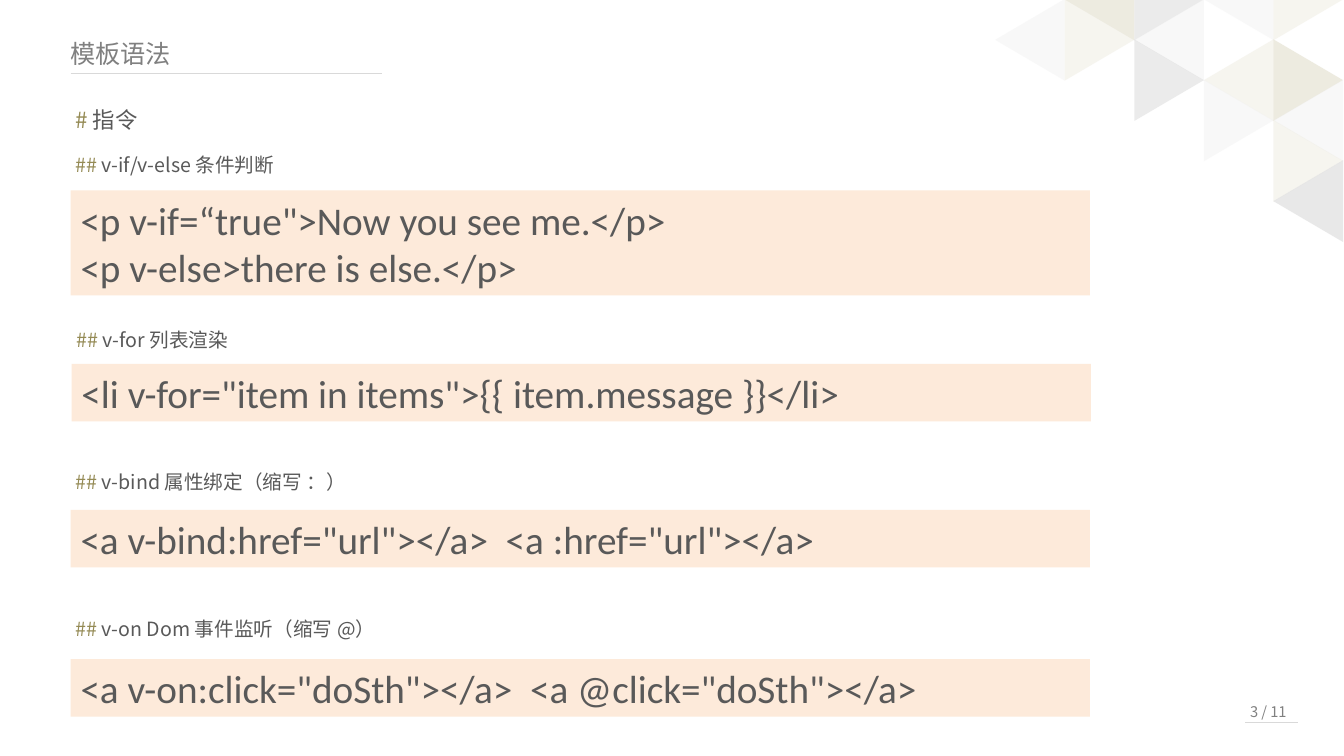
from dataclasses import dataclass
from lxml.etree import SubElement
from pptx import Presentation
from pptx.dml.color import RGBColor
from pptx.enum.shapes import MSO_CONNECTOR as Connector, MSO_SHAPE as Shape
from pptx.enum.text import MSO_ANCHOR as Anchor, MSO_AUTO_SIZE as AutoSize, PP_ALIGN as Align
from pptx.oxml.ns import qn
from pptx.util import Inches, Pt


@dataclass(frozen=True)
class Theme:
    sans: str = "Noto Sans CJK SC"
    code: str = "Calibri"
    muted: str = "808080"
    body: str = "595959"
    mark: str = "948A54"
    rule: str = "D9D9D9"
    panel: str = "FDEADA"
    white: str = "FFFFFF"
    pale: str = "F2F2F2"
    grey: str = "D9D9D9"
    cream: str = "EEECE1"
    sand: str = "DDD9C3"
    title_size: float = 18
    topic_size: float = 16
    label_size: float = 14
    code_size: float = 28
    page_size: float = 10.5


THEME = Theme()

LEFT, RIGHT = 270, 90
MOSAIC = [
    (1, 0, LEFT, THEME.sand), (2, 0, RIGHT, THEME.grey),
    (3, 0, LEFT, THEME.pale), (4, 0, RIGHT, THEME.cream),
    (1, 1, RIGHT, THEME.cream), (2, 1, LEFT, THEME.pale),
    (3, 1, RIGHT, THEME.white), (2, 2, RIGHT, THEME.grey),
    (3, 2, LEFT, THEME.cream), (4, 2, RIGHT, THEME.sand),
    (3, 3, RIGHT, THEME.pale), (4, 3, LEFT, THEME.pale),
    (0, 1, LEFT, THEME.pale), (4, 4, RIGHT, THEME.cream),
    (4, 5, LEFT, THEME.pale), (4, 5, LEFT, THEME.grey),
]

DIRECTIVES = [
    ((0.65, 1.47, 2.51), 0.42, 1.04, " v-if/v-else 条件判断",
     ["<p v-if=“true\">Now you see me.</p>", "<p v-else>there is else.</p>"]),
    ((0.66, 3.2, 2.51), 0.41, 0.57, " v-for 列表渲染",
     ["<li v-for=\"item in items\">{{ item.message }}</li>"]),
    ((0.65, 4.61, 6.18), 0.45, 0.57, " v-bind 属性绑定（缩写 ：）",
     ["<a v-bind:href=\"url\"></a>  <a :href=\"url\"></a>"]),
    ((0.65, 6.07, 6.32), 0.47, 0.57, " v-on Dom 事件监听（缩写 @）",
     ["<a v-on:click=\"doSth\"></a>  <a @click=\"doSth\"></a>"]),
]


def inches(box):
    return [Inches(length) for length in box]


def write(frame, paragraphs, size, font):
    frame.word_wrap = True
    frame.auto_size = AutoSize.SHAPE_TO_FIT_TEXT
    for index, pieces in enumerate(paragraphs):
        line = frame.add_paragraph() if index else frame.paragraphs[0]
        line.alignment = Align.LEFT
        for words, color in pieces:
            run = line.add_run()
            run.text = words
            run.font.size = Pt(size)
            run.font.name = font
            run.font.color.rgb = RGBColor.from_string(color)
            SubElement(run.font._element, qn("a:ea"), typeface=font)


def add_text(slide, box, pieces, size):
    frame = slide.shapes.add_textbox(*inches(box)).text_frame
    write(frame, [pieces], size, THEME.sans)


def add_filled(slide, preset, box, color):
    shape = slide.shapes.add_shape(preset, *inches(box))
    shape.shadow.inherit = False
    shape.fill.solid()
    shape.fill.fore_color.rgb = RGBColor.from_string(color)
    shape.line.fill.background()
    return shape


def add_rule(slide, left, top, width):
    rule = slide.shapes.add_connector(
        Connector.STRAIGHT, *inches((left, top, left + width, top)))
    rule.line.color.rgb = RGBColor.from_string(THEME.rule)
    rule.line.width = Pt(0.75)
    SubElement(rule._element.spPr, qn("a:effectLst"))


def add_mosaic(slide, left, top):
    side, depth, row_step = 0.81, 0.69, 0.4
    for column, row, turn, color in MOSAIC:
        box = (left + column * depth, top + row * row_step, side, depth)
        tile = add_filled(slide, Shape.ISOSCELES_TRIANGLE, box, color)
        tile.rotation = turn
        tint = tile._element.spPr.find(qn("a:solidFill"))[0]
        SubElement(tint, qn("a:alpha"), val="50000")


def add_header(slide, left, top, width):
    add_text(slide, (left, top, width, 0.4), [("模板语法", THEME.muted)], THEME.title_size)
    add_rule(slide, left + 0.1, top + 0.4, 3.09)


def add_page_number(slide, left, top, width):
    add_text(slide, (left, top, width, 0.28), [("3 / 11", THEME.muted)], THEME.page_size)
    add_rule(slide, left + 0.05, top + 0.25, 0.52)


def add_topic(slide, left, top, width):
    add_text(slide, (left, top, width, 0.37),
             [("# ", THEME.mark), ("指令", THEME.body)], THEME.topic_size)


def add_directive(slide, box, code_drop, code_height, label, code_lines):
    left, top, width = box
    panel = add_filled(slide, Shape.RECTANGLE,
                       (left + 0.05, top + code_drop, 10.11, code_height), THEME.panel)
    panel.text_frame.vertical_anchor = Anchor.MIDDLE
    write(panel.text_frame, [[(code, THEME.body)] for code in code_lines],
          THEME.code_size, THEME.code)
    add_text(slide, (left, top, width, 0.34),
             [("##", THEME.mark), (label, THEME.body)], THEME.label_size)


def build_syntax_slide(deck):
    slide = deck.slides.add_slide(deck.slide_layouts[6])
    add_mosaic(slide, 9.81, -0.35)
    add_header(slide, 0.6, 0.33, 3.74)
    add_page_number(slide, 12.3, 6.92, 0.64)
    add_topic(slide, 0.65, 1, 2.51)
    for directive in DIRECTIVES:
        add_directive(slide, *directive)


deck = Presentation()
deck.slide_width, deck.slide_height = Inches(13.33), Inches(7.5)
build_syntax_slide(deck)
deck.save("out.pptx")
